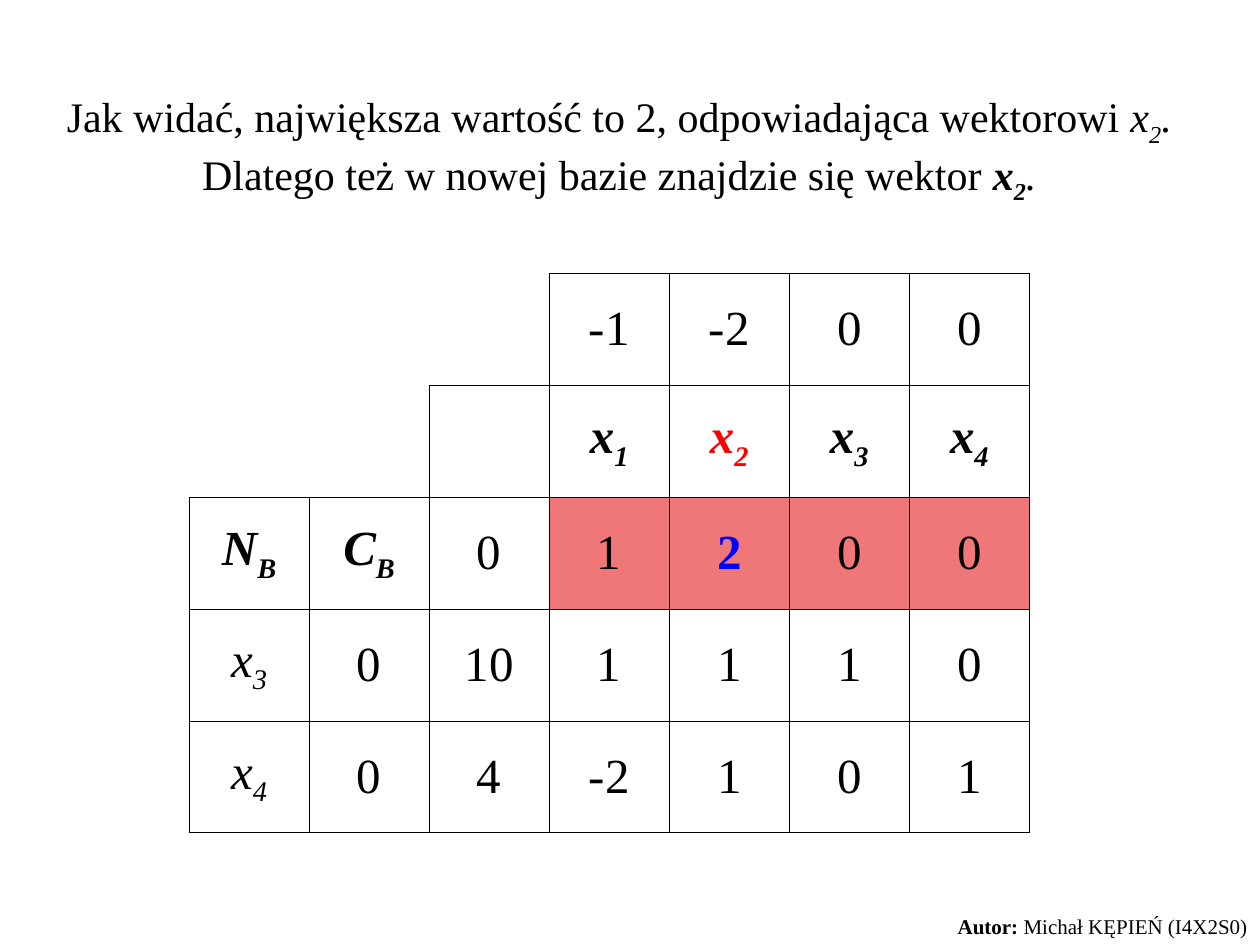
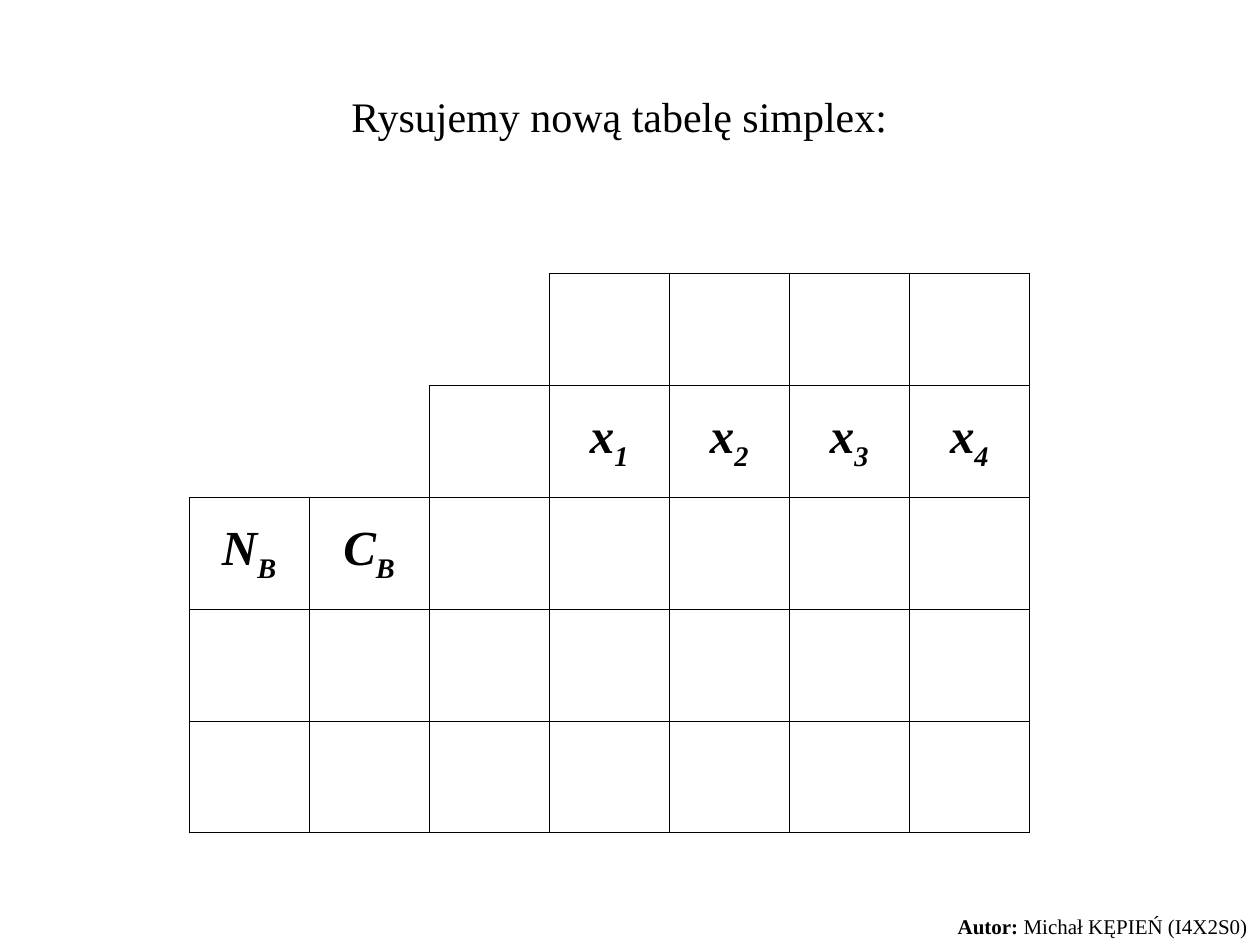
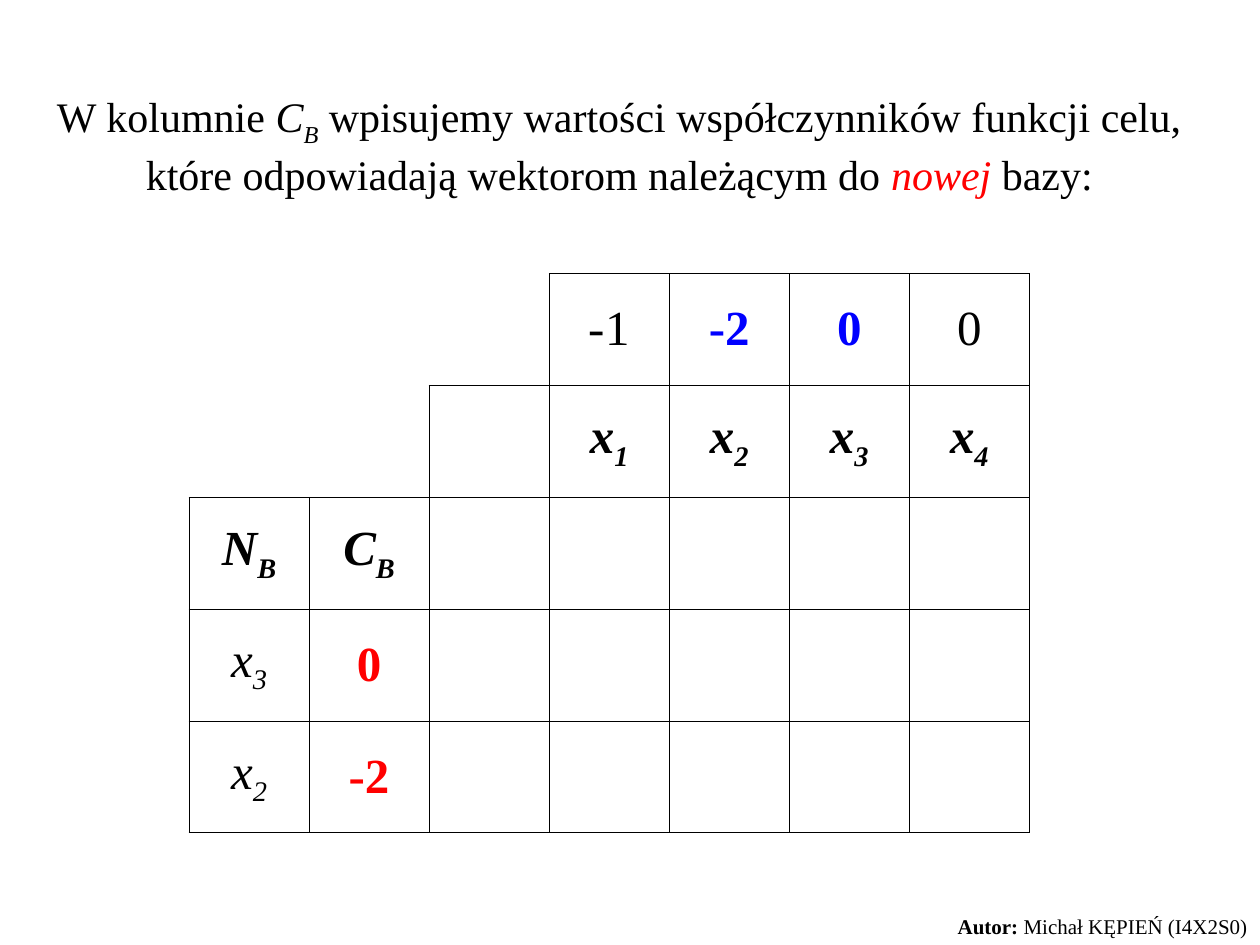
from pptx import Presentation
from pptx.dml.color import RGBColor
from pptx.enum.text import MSO_ANCHOR, MSO_AUTO_SIZE, PP_ALIGN
from pptx.oxml.ns import qn
from pptx.util import Inches, Pt
from lxml.etree import SubElement

FONT = "Times New Roman"
BLACK, RED, BLUE, ROSE = "000000", "FF0000", "0000FF", "EF7777"

COLUMNS, ROWS = 7, 5
FIRST_FRAMED = [3, 2, 0, 0, 0]  # leftmost framed column of each row
HEADER_ROWS = 3

# Heading pieces: text and style letters (b bold, i italic, s subscript, r red).
# Table rows: "." is an empty cell; a letter with an index is a vector name.
STEPS = [
    {
        "heading": [
            ("Jak widać, największa wartość to 2, odpowiadająca wektorowi ", ""),
            ("x", "i"), ("2", "is"), (". ", "i"),
            ("Dlatego też w nowej bazie znajdzie się wektor ", ""),
            ("x", "bi"), ("2", "bis"), (".", "i"),
        ],
        "height": 1.01,
        "simplex": [
            ". . . -1 -2 0 0",
            ". . . x1 x2 x3 x4",
            "NB CB 0 1 2 0 0",
            "x3 0 10 1 1 1 0",
            "x4 0 4 -2 1 0 1",
        ],
        "marked": {(1, 4): RED, (2, 4): BLUE},
        "filled": [(2, column) for column in range(3, COLUMNS)],
    },
    {
        "heading": [("Rysujemy nową tabelę simplex:", "")],
        "height": 0.5,
        "simplex": [
            ". . . . . . .",
            ". . . x1 x2 x3 x4",
            "NB CB . . . . .",
            ". . . . . . .",
            ". . . . . . .",
        ],
        "marked": {},
        "filled": [],
    },
    {
        "heading": [
            ("W kolumnie ", ""), ("C", "i"), ("B", "is"),
            (" wpisujemy wartości współczynników funkcji celu, "
             "które odpowiadają wektorom należącym do ", ""),
            ("nowej", "ir"), (" bazy:", ""),
        ],
        "height": 0.96,
        "simplex": [
            ". . . -1 -2 0 0",
            ". . . x1 x2 x3 x4",
            "NB CB . . . . .",
            "x3 0 . . . . .",
            "x2 -2 . . . . .",
        ],
        "marked": {(0, 4): BLUE, (0, 5): BLUE, (3, 1): RED, (4, 1): RED},
        "filled": [],
    },
]


def write(paragraph, pieces, size, space, align, color=BLACK):
    """Fill a paragraph with (text, style letters) pieces."""
    paragraph.alignment = align
    paragraph.space_before = Pt(space)
    for text, style in pieces:
        run = paragraph.add_run()
        run.text = text
        font = run.font
        font.name, font.size = FONT, Pt(size)
        font.bold, font.italic = "b" in style, "i" in style
        font.color.rgb = RGBColor.from_string(RED if "r" in style else color)
        if "s" in style:
            font._element.set("baseline", "-25000")


def set_border(cell, side, visible):
    line = SubElement(cell._tc.get_or_add_tcPr(), qn(f"a:ln{side}"), w=str(Pt(0.45)))
    if visible:
        SubElement(SubElement(line, qn("a:solidFill")), qn("a:srgbClr"), val=BLACK)
    else:
        SubElement(line, qn("a:noFill"))


prs = Presentation()
prs.slide_width, prs.slide_height = Inches(10), Inches(7.5)
title_only = prs.slide_layouts[5]

for step in STEPS:
    slide = prs.slides.add_slide(title_only)

    heading = slide.shapes.title
    heading.left, heading.top = Inches(0.25), Inches(0.67)
    heading.width, heading.height = Inches(9.33), Inches(step["height"])
    heading.text_frame.vertical_anchor = MSO_ANCHOR.TOP
    heading.text_frame.auto_size = MSO_AUTO_SIZE.SHAPE_TO_FIT_TEXT
    write(heading.text_frame.paragraphs[0], step["heading"], 24, 15, PP_ALIGN.CENTER)

    simplex = slide.shapes.add_table(
        ROWS, COLUMNS, Inches(1.5), Inches(2.17), Inches(6.67), Inches(4.44)
    ).table
    simplex.first_row = simplex.horz_banding = False

    for row, labels in enumerate(step["simplex"]):
        for column, label in enumerate(labels.split()):
            cell = simplex.cell(row, column)
            cell.vertical_anchor = MSO_ANCHOR.MIDDLE

            # An edge is drawn when a framed cell lies on either side of it.
            framed = column >= FIRST_FRAMED[row]
            next_framed = column + 1 >= FIRST_FRAMED[row]
            below_framed = row + 1 < ROWS and column >= FIRST_FRAMED[row + 1]
            set_border(cell, "L", framed)
            set_border(cell, "R", next_framed)
            set_border(cell, "T", framed)
            set_border(cell, "B", framed or below_framed)

            if (row, column) in step["filled"]:
                cell.fill.solid()
                cell.fill.fore_color.rgb = RGBColor.from_string(ROSE)
            else:
                cell.fill.background()

            if label == ".":
                continue
            color = step["marked"].get((row, column), BLACK)
            named = label[0].isalpha()
            bold = "b" if color != BLACK or (named and row < HEADER_ROWS) else ""
            if named:
                pieces = [(label[0], bold + "i"), (label[1], bold + "is")]
            else:
                pieces = [(label, bold)]
            write(cell.text_frame.paragraphs[0], pieces, 28, 7, PP_ALIGN.CENTER, color)

    author = slide.shapes.add_textbox(
        Inches(7.33), Inches(7.2), Inches(2.67), Inches(0.3)
    ).text_frame
    author.word_wrap = True
    author.auto_size = MSO_AUTO_SIZE.SHAPE_TO_FIT_TEXT
    write(author.paragraphs[0], [("Autor:", "b"), (" Michał KĘPIEŃ (I4X2S0)", "")],
          12, 7.5, PP_ALIGN.RIGHT)

prs.save("out.pptx")
